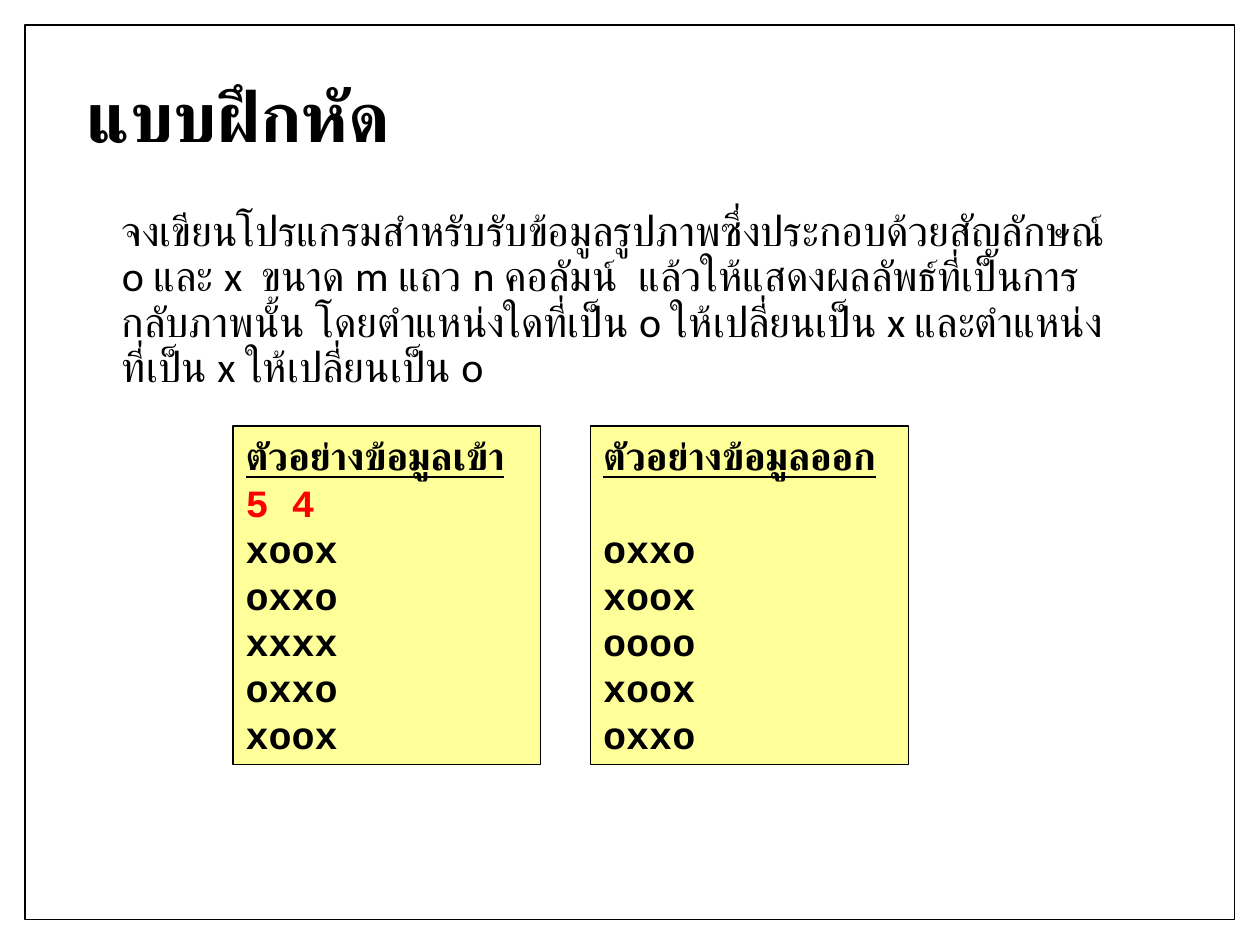
from pptx import Presentation
from pptx.dml.color import RGBColor
from pptx.enum.lang import MSO_LANGUAGE_ID
from pptx.enum.shapes import MSO_SHAPE
from pptx.enum.text import MSO_ANCHOR, PP_ALIGN
from pptx.util import Cm, Pt

COLORS = {"ink": "000000", "paper": "FFFFFF", "example": "FFFF99", "size": "FF0000"}
LINE_PITCH = Pt(26.5)
HEADING = {"bold": True, "underline": True, "size": Pt(22)}
CODE = {"bold": True, "size": Pt(22), "name": "Courier New"}


class SlideBuilder:
    """Holds the style and the current slide."""

    def __init__(self, slide):
        self.slide = slide
        self.font = {"name": "Calibri", "language_id": MSO_LANGUAGE_ID.THAI}

    def rectangle(self, left, top, width, height, fill, line_width):
        shape = self.slide.shapes.add_shape(
            MSO_SHAPE.RECTANGLE, Cm(left), Cm(top), Cm(width), Cm(height))
        shape.shadow.inherit = False
        shape.fill.solid()
        shape.fill.fore_color.rgb = RGBColor.from_string(COLORS[fill])
        shape.line.color.rgb = RGBColor.from_string(COLORS["ink"])
        shape.line.width = Pt(line_width)
        return shape

    def fill_paragraph(self, paragraph, text, font, layout, color="ink"):
        run = paragraph.add_run()
        run.text = text
        run.font.color.rgb = RGBColor.from_string(COLORS[color])
        for target, values in ((run.font, {**self.font, **font}), (paragraph, layout)):
            for name, value in values.items():
                setattr(target, name, value)

    def text(self, left, top, width, height, text, font, anchor):
        frame = self.slide.shapes.add_textbox(
            Cm(left), Cm(top), Cm(width), Cm(height)).text_frame
        frame.word_wrap = True
        frame.vertical_anchor = anchor
        self.fill_paragraph(frame.paragraphs[0], text, font, {"line_spacing": 0.9})

    def example(self, left, width, heading, rows, size=None):
        frame = self.rectangle(left, 8.59, width, 6.83, "example", 0.75).text_frame
        frame.word_wrap = True
        frame.vertical_anchor = MSO_ANCHOR.TOP
        layout = {"alignment": PP_ALIGN.LEFT, "line_spacing": LINE_PITCH}
        self.fill_paragraph(frame.paragraphs[0], heading, HEADING, layout)
        if size:
            self.fill_paragraph(frame.add_paragraph(), size, CODE, layout, "size")
        for index, row in enumerate(rows):
            skipped = LINE_PITCH if index == 0 and not size else Pt(0)
            self.fill_paragraph(
                frame.add_paragraph(), row, CODE, {**layout, "space_before": skipped})


def main():
    presentation = Presentation()
    presentation.slide_width, presentation.slide_height = Cm(25.4), Cm(19.05)
    builder = SlideBuilder(presentation.slides.add_slide(presentation.slide_layouts[6]))
    builder.rectangle(0.51, 0.51, 24.38, 18.03, "paper", 1)
    builder.text(1.5, 0.53, 20.57, 3.76, "แบบฝึกหัด",
                 {"size": Pt(40), "bold": True}, MSO_ANCHOR.MIDDLE)
    builder.text(2.21, 4.11, 20.57, 11.23,
                 "จงเขียนโปรแกรมสำหรับรับข้อมูลรูปภาพซึ่งประกอบด้วยสัญลักษณ์ o และ x  "
                 "ขนาด m แถว n คอลัมน์  แล้วให้แสดงผลลัพธ์ที่เป็นการกลับภาพนั้น "
                 "โดยตำแหน่งใดที่เป็น o ให้เปลี่ยนเป็น x และตำแหน่งที่เป็น x ให้เปลี่ยนเป็น o",
                 {"size": Pt(24)}, MSO_ANCHOR.TOP)
    image = ["xoox", "oxxo", "xxxx", "oxxo", "xoox"]
    inverted = ["".join("o" if symbol == "x" else "x" for symbol in row) for row in image]
    builder.example(4.7, 6.2, "ตัวอย่างข้อมูลเข้า", image, "5 4")
    builder.example(11.91, 6.4, "ตัวอย่างข้อมูลออก", inverted)
    presentation.save("out.pptx")


if __name__ == "__main__":
    main()
